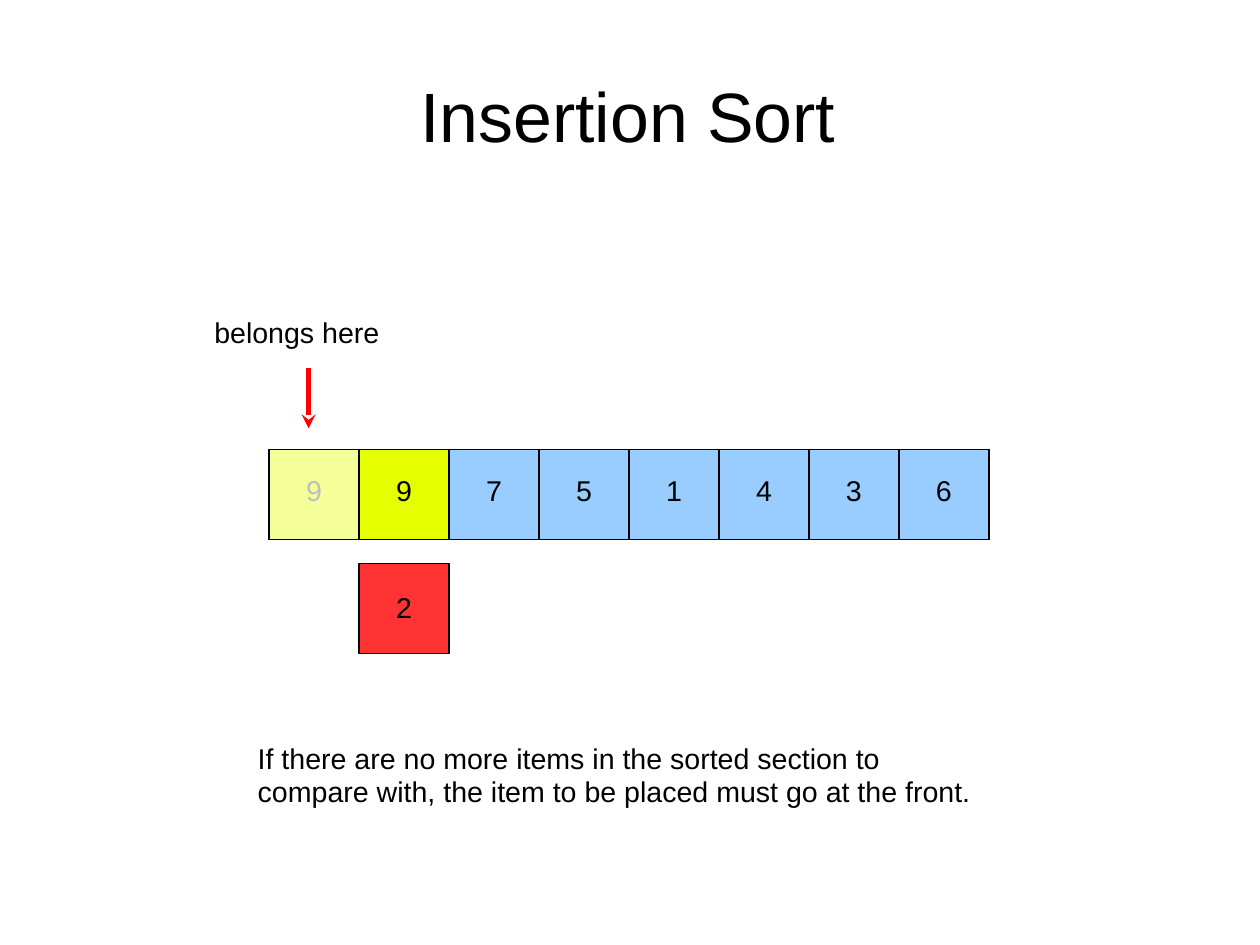
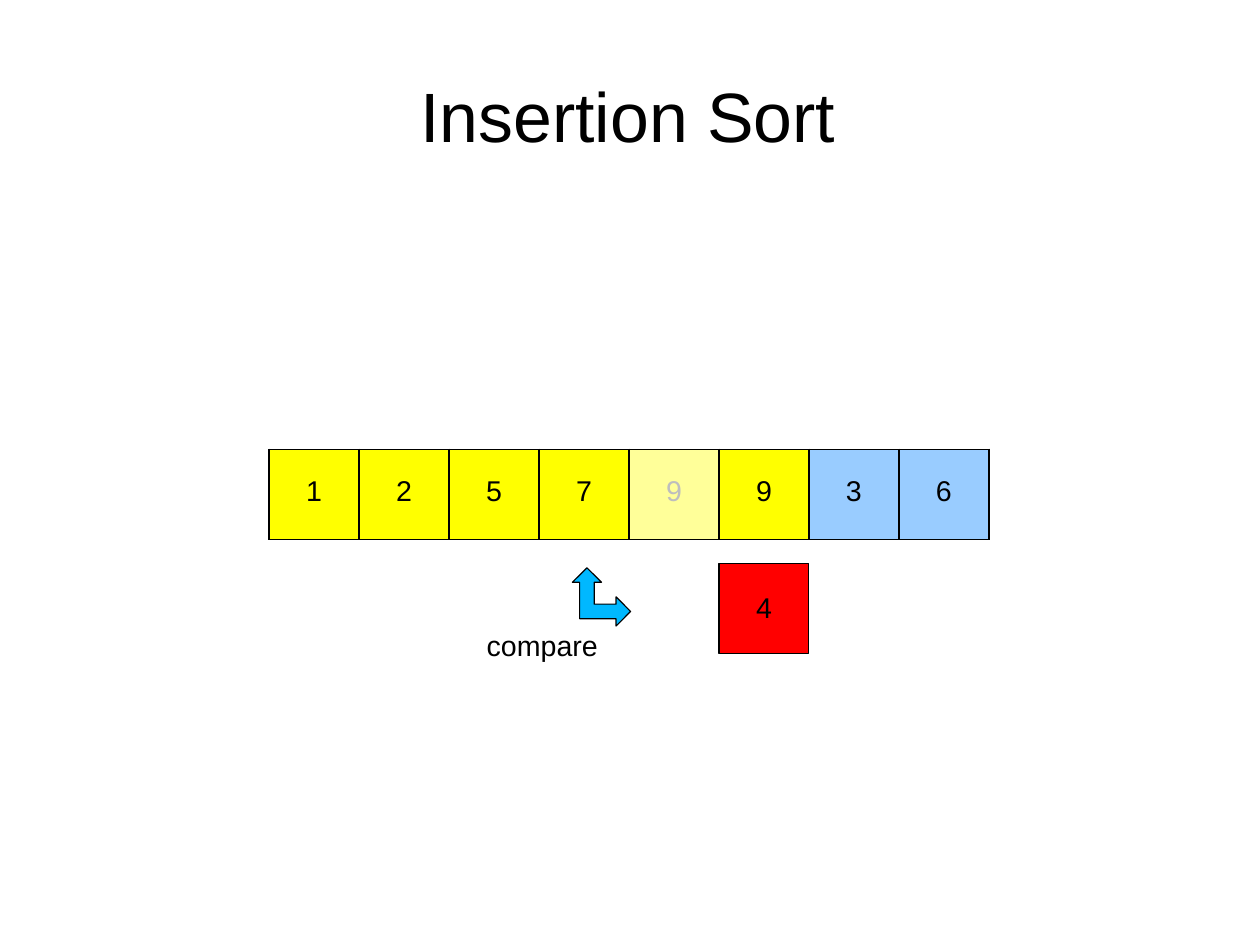
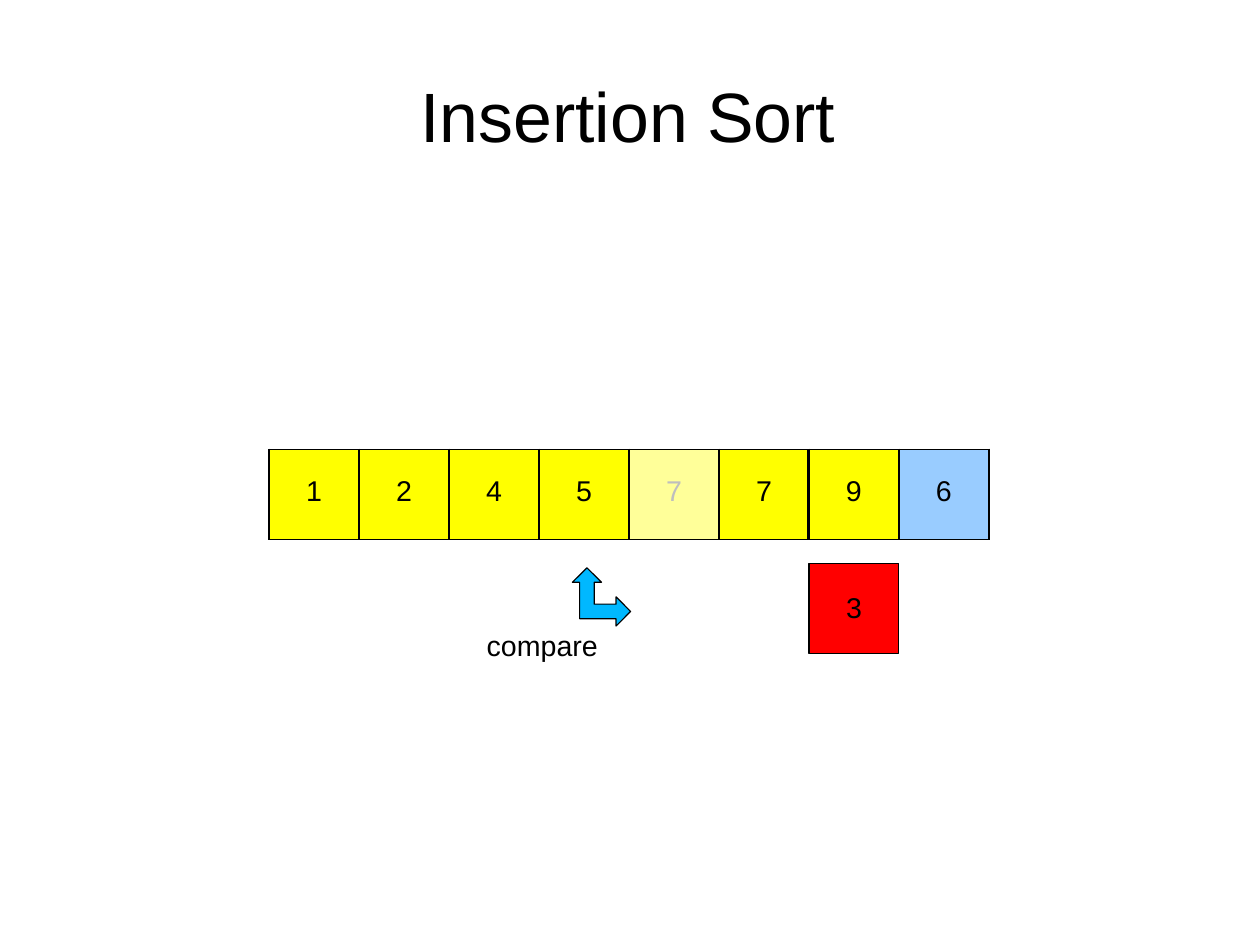
from dataclasses import dataclass, field
from typing import Any

from lxml.etree import SubElement
from pptx import Presentation
from pptx.dml.color import RGBColor
from pptx.enum.shapes import MSO_CONNECTOR, MSO_SHAPE
from pptx.enum.text import MSO_ANCHOR, PP_ALIGN
from pptx.oxml import parse_xml
from pptx.oxml.ns import nsdecls, qn
from pptx.util import Pt

HUES = {
    "ink": "000000",
    "pale": "BEBEBE",
    "lime": "E6FF00",
    "gold": "FFFF00",
    "sky": "99CCFF",
    "coral": "FF3333",
    "red": "FF0000",
    "aqua": "00B8FF",
}
FONT = "Arial"
LEFT, TOP, SIDE = 169.6, 283, 56.7
KEY_TOP = 355


@dataclass(frozen=True)
class Step:
    items: str
    done: int
    ghost: int
    key: str
    tone: str = "gold"
    spot: str = "red"
    edges: dict[int, float] = field(default_factory=dict)


STEPS = (
    Step("99751436", 2, 0, "2", "lime", "coral", {1: 1.5}),
    Step("12579936", 6, 4, "4", edges={5: 1.5, 6: 1.5}),
    Step("12457796", 7, 4, "3", edges={5: 1.5, 6: 2.25, 7: 1.5}),
)


def tint(name: str) -> RGBColor:
    return RGBColor.from_string(HUES[name])


def write(box: Any, text: str, *, size: float = 18, hue: str = "ink",
          align: Any = PP_ALIGN.LEFT, top: float = 1,
          lead: float | None = None) -> None:
    frame = box.text_frame
    frame.word_wrap = True
    rim = box if hasattr(box, "margin_left") else frame
    rim.margin_left = rim.margin_right = rim.margin_bottom = 0
    rim.margin_top = Pt(top)
    rim.vertical_anchor = MSO_ANCHOR.TOP
    line = frame.paragraphs[0]
    line.alignment = align
    if lead:
        line.line_spacing = Pt(lead)
    run = line.add_run()
    run.text = text
    run.font.name = FONT
    run.font.size = Pt(size)
    run.font.color.rgb = tint(hue)


def label(slide: Any, text: str, x: float, y: float, wide: float,
          high: float = 24, **style: Any) -> None:
    box = slide.shapes.add_textbox(Pt(x), Pt(y), Pt(wide), Pt(high))
    write(box, text, **style)


def block(slide: Any, kind: Any, x: float, y: float, side: float,
          hue: str) -> Any:
    shape = slide.shapes.add_shape(kind, Pt(x), Pt(y), Pt(side), Pt(side))
    shape.shadow.inherit = False
    shape.fill.solid()
    shape.fill.fore_color.rgb = tint(hue)
    shape.line.color.rgb = tint("ink")
    shape.line.width = Pt(0.75)
    return shape


def frame_cell(cell: Any, left: float, right: float) -> None:
    props = cell._tc.get_or_add_tcPr()
    rules = (("lnL", left), ("lnR", right), ("lnT", 0.75), ("lnB", 0.75))
    for spot, (tag, wide) in enumerate(rules):
        props.insert(spot, parse_xml(
            f'<a:{tag} {nsdecls("a")} w="{Pt(wide)}"><a:solidFill>'
            f'<a:srgbClr val="{HUES["ink"]}"/></a:solidFill></a:{tag}>'))


def draw_row(slide: Any, step: Step) -> None:
    count = len(step.items)
    table = slide.shapes.add_table(
        1, count, Pt(LEFT), Pt(TOP), Pt(count * SIDE), Pt(SIDE)).table
    table.first_row = table.horz_banding = False
    table.rows[0].height = Pt(SIDE)
    for spot, item in enumerate(step.items):
        table.columns[spot].width = Pt(SIDE)
        cell = table.cell(0, spot)
        ghost = spot == step.ghost
        write(cell, item, hue="pale" if ghost else "ink",
              align=PP_ALIGN.CENTER, top=17)
        cell.fill.solid()
        cell.fill.fore_color.rgb = tint(step.tone if spot < step.done else "sky")
        if ghost:
            paint = cell._tc.tcPr.find(qn("a:solidFill"))[0]
            SubElement(paint, qn("a:alpha"), val="40000")
        frame_cell(cell, step.edges.get(spot, 1), step.edges.get(spot + 1, 1))


def draw_step(deck: Any, step: Step) -> Any:
    slide = deck.slides.add_slide(deck.slide_layouts[6])
    label(slide, "Insertion Sort", 265, 44.6, 266, 55, size=44)
    draw_row(slide, step)
    key = block(slide, MSO_SHAPE.RECTANGLE, LEFT + (step.done - 1) * SIDE,
                KEY_TOP, SIDE, step.spot)
    write(key, step.key, align=PP_ALIGN.CENTER, top=17)
    return slide


def draw_place(slide: Any) -> None:
    label(slide, "If there are no more items in the sorted section to "
          "compare with, the item to be placed must go at the front.",
          162.4, 466.6, 456, 44, lead=20.9)
    arrow = slide.shapes.add_connector(
        MSO_CONNECTOR.STRAIGHT, Pt(194.5), Pt(232), Pt(194.5), Pt(270))
    arrow.line.color.rgb = tint("red")
    arrow.line.width = Pt(3)
    SubElement(arrow.line._get_or_add_ln(), qn("a:tailEnd"), type="stealth")
    SubElement(arrow._element.spPr, qn("a:effectLst"))
    label(slide, "belongs here", 135, 197.3, 112)


def draw_match(slide: Any) -> None:
    arrow = block(slide, MSO_SHAPE.LEFT_UP_ARROW, 360.7, 357.8, 36.7, "aqua")
    arrow.rotation = 90
    label(slide, "compare", 306.7, 394.6, 76)


def main() -> None:
    deck = Presentation()
    deck.slide_width, deck.slide_height = Pt(794), Pt(595.5)
    for step in STEPS:
        slide = draw_step(deck, step)
        if step.ghost:
            draw_match(slide)
        else:
            draw_place(slide)
    deck.save("out.pptx")


if __name__ == "__main__":
    main()
